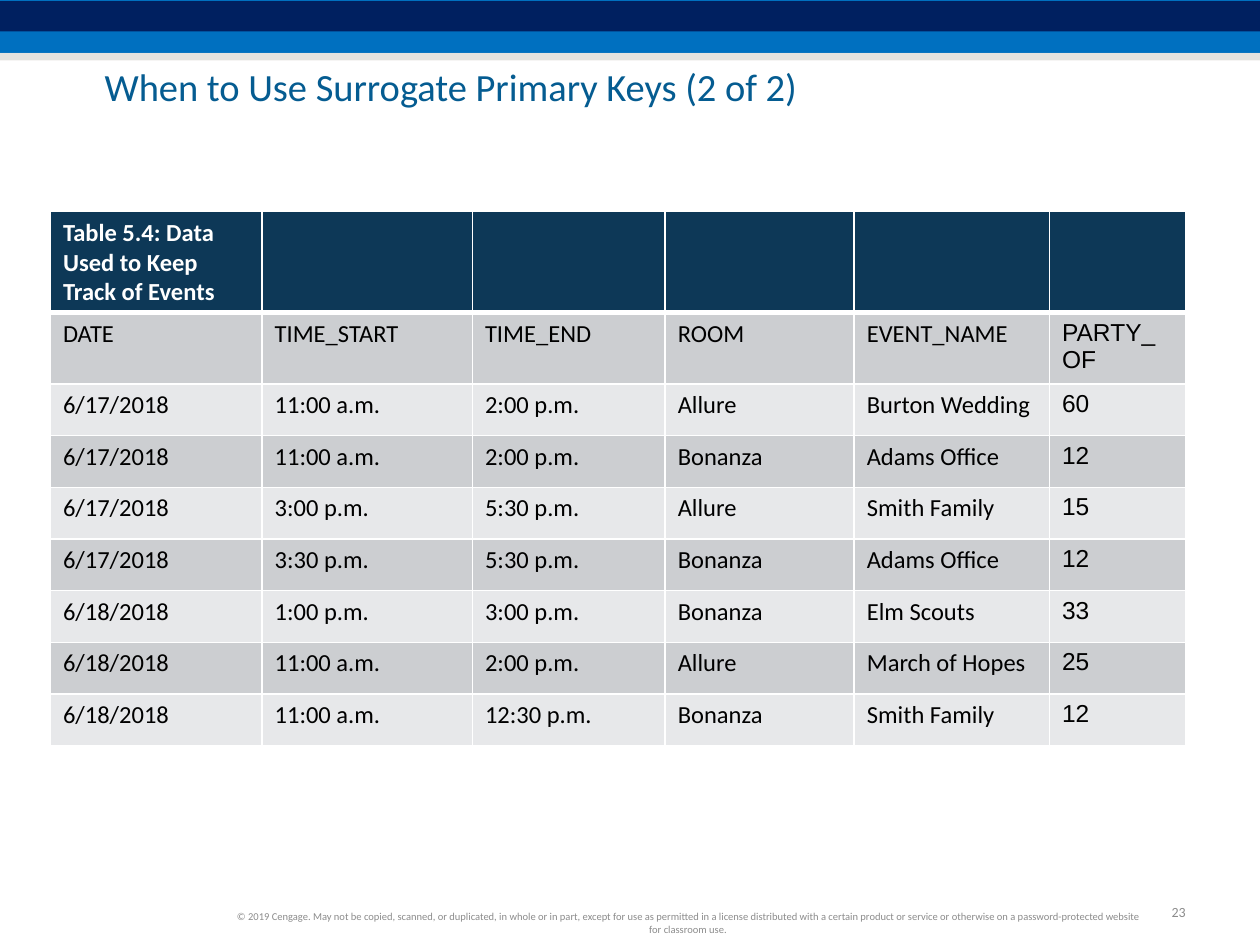
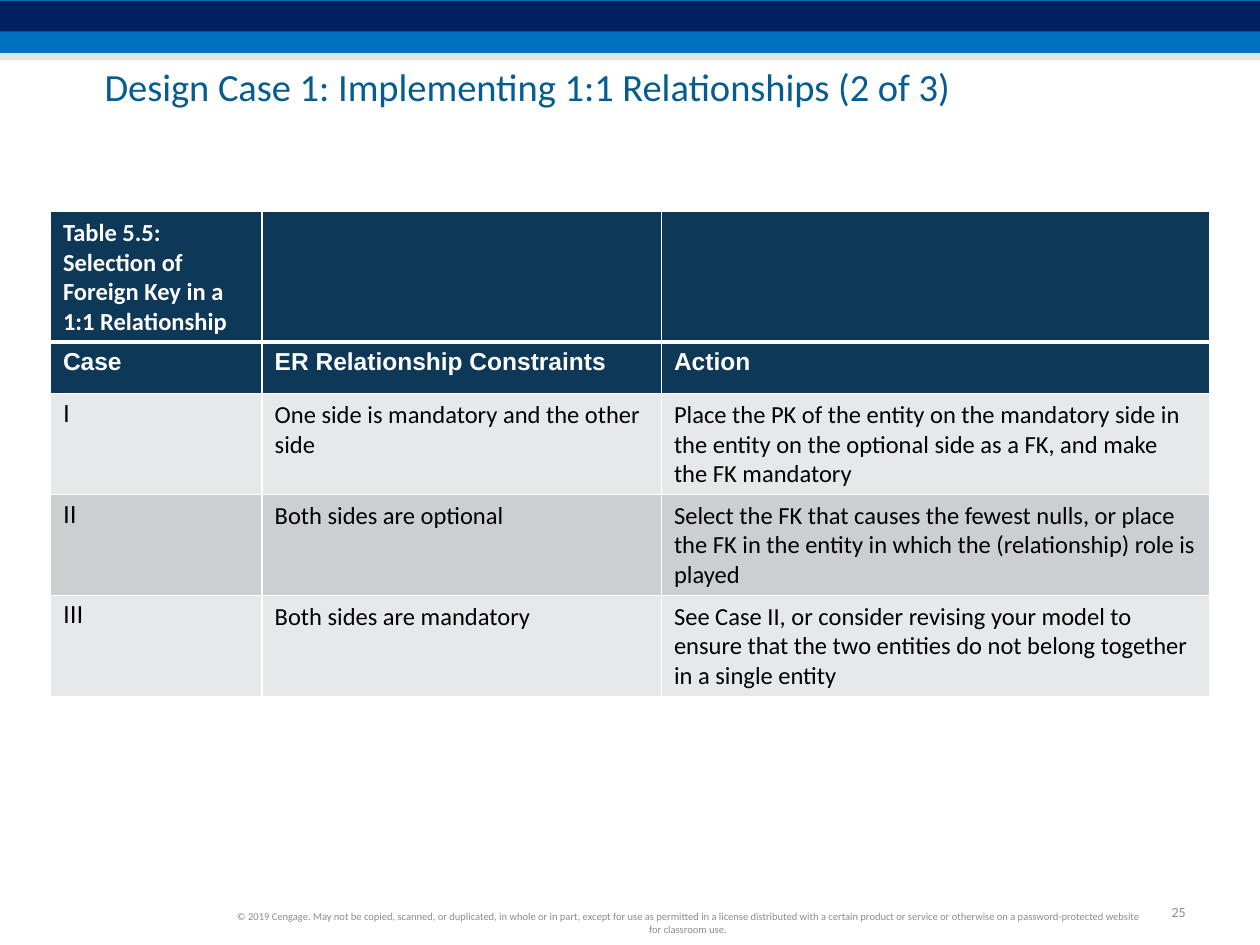
from dataclasses import dataclass

from lxml.etree import SubElement
from pptx import Presentation
from pptx.dml.color import RGBColor
from pptx.enum.shapes import MSO_SHAPE
from pptx.enum.text import MSO_ANCHOR, MSO_AUTO_SIZE, PP_ALIGN
from pptx.oxml import parse_xml
from pptx.oxml.ns import nsdecls, qn
from pptx.util import Inches, Pt


@dataclass(frozen=True)
class Theme:
    blue: str = "0070C0"
    navy: str = "002060"
    sand: str = "CCC9C1"
    title: str = "055C91"
    header: str = "0D3857"
    dark_row: str = "CCCED1"
    light_row: str = "E7E8EA"
    white: str = "FFFFFF"
    black: str = "000000"
    grey: str = "8C8C8C"
    body_font: str = "Calibri"
    alt_font: str = "Arial"
    title_size: int = 22
    table_size: int = 14
    number_size: int = 8
    legal_size: int = 6
    rule: int = 1
    header_rule: int = 3


COPYRIGHT = (
    "© 2019 Cengage. May not be copied, scanned, or duplicated, in whole or in part, "
    "except for use as permitted in a license distributed with a certain product or "
    "service or otherwise on a password-protected website for classroom use."
)

EVENTS = [
    ["Table 5.4: Data Used to Keep Track of Events", "", "", "", "", ""],
    ["DATE", "TIME_START", "TIME_END", "ROOM", "EVENT_NAME", "PARTY_OF"],
    ["6/17/2018", "11:00 a.m.", "2:00 p.m.", "Allure", "Burton Wedding", "60"],
    ["6/17/2018", "11:00 a.m.", "2:00 p.m.", "Bonanza", "Adams Office", "12"],
    ["6/17/2018", "3:00 p.m.", "5:30 p.m.", "Allure", "Smith Family", "15"],
    ["6/17/2018", "3:30 p.m.", "5:30 p.m.", "Bonanza", "Adams Office", "12"],
    ["6/18/2018", "1:00 p.m.", "3:00 p.m.", "Bonanza", "Elm Scouts", "33"],
    ["6/18/2018", "11:00 a.m.", "2:00 p.m.", "Allure", "March of Hopes", "25"],
    ["6/18/2018", "11:00 a.m.", "12:30 p.m.", "Bonanza", "Smith Family", "12"],
]

FOREIGN_KEYS = [
    ["Table 5.5: Selection of Foreign Key in a 1:1 Relationship", "", ""],
    ["Case", "ER Relationship Constraints", "Action"],
    ["I", "One side is mandatory and the other side",
     "Place the PK of the entity on the mandatory side in the entity on the optional "
     "side as a FK, and make the FK mandatory"],
    ["II", "Both sides are optional",
     "Select the FK that causes the fewest nulls, or place the FK in the entity in "
     "which the (relationship) role is played"],
    ["III", "Both sides are mandatory",
     "See Case II, or consider revising your model to ensure that the two entities "
     "do not belong together in a single entity"],
]


class Deck:
    COLS, ROWS = 100, 75

    def __init__(self, theme):
        self.t = theme
        self.prs = Presentation()
        self.prs.slide_width, self.prs.slide_height = Inches(10), Inches(7.5)
        self.s = None

    def x(self, cols):
        return round(self.prs.slide_width * cols / self.COLS)

    def y(self, rows):
        return round(self.prs.slide_height * rows / self.ROWS)

    def box(self, left, top, width, height):
        return self.x(left), self.y(top), self.x(width), self.y(height)

    def style(self, p, size, color, font=None, bold=False):
        p.font.size, p.font.bold = Pt(size), bold
        p.font.name = font or self.t.body_font
        p.font.color.rgb = RGBColor.from_string(color)

    def band(self, top, height, color, alpha=None):
        sp = self.s.shapes.add_shape(MSO_SHAPE.RECTANGLE, *self.box(0, top, self.COLS, height))
        sp.shadow.inherit = False
        sp.fill.solid()
        sp.fill.fore_color.rgb = RGBColor.from_string(color)
        sp.line.fill.background()
        if alpha:
            clr = sp.fill._xPr.find(f"{qn('a:solidFill')}/{qn('a:srgbClr')}")
            SubElement(clr, qn("a:alpha")).set("val", str(alpha * 1000))

    def text(self, place, text, size, align, wrap=True):
        tf = self.s.shapes.add_textbox(*self.box(*place)).text_frame
        tf.word_wrap = wrap
        tf.vertical_anchor = MSO_ANCHOR.MIDDLE
        p = tf.paragraphs[0]
        p.text, p.alignment = text, align
        self.style(p, size, self.t.grey)

    def title(self, text):
        sp = self.s.shapes.title
        sp.left, sp.top, sp.width, sp.height = self.box(8.3, 5.6, 87.8, 3.1)
        tf = sp.text_frame
        tf.margin_left = tf.margin_right = tf.margin_top = tf.margin_bottom = 0
        tf.vertical_anchor = MSO_ANCHOR.MIDDLE
        tf.auto_size = MSO_AUTO_SIZE.SHAPE_TO_FIT_TEXT
        p = tf.paragraphs[0]
        p.text, p.alignment, p.line_spacing = text, PP_ALIGN.LEFT, 0.85
        self.style(p, self.t.title_size, self.t.title)

    def slide(self, title, number):
        t = self.t
        self.s = self.prs.slides.add_slide(self.prs.slide_layouts[5])
        self.band(0, 4.2, t.blue)
        self.band(0.1, 2.4, t.navy)
        self.band(4.2, 0.6, t.sand, alpha=50)
        self.title(title)
        self.text((91.7, 71.2, 3.4, 2.4), str(number), t.number_size, PP_ALIGN.RIGHT, wrap=False)
        self.text((17.5, 71.9, 74.2, 2.7), COPYRIGHT, t.legal_size, PP_ALIGN.CENTER)

    def borders(self, cell, top, bottom):
        sides = {"L": self.t.rule, "R": self.t.rule, "T": top, "B": bottom}
        for i, (side, width) in enumerate(sides.items()):
            cell._tc.get_or_add_tcPr().insert(i, parse_xml(
                f'<a:ln{side} {nsdecls("a")} w="{Pt(width)}"><a:solidFill>'
                f'<a:srgbClr val="{self.t.white}"/></a:solidFill></a:ln{side}>'))

    def table(self, data, widths, header_rows, is_alt):
        t, row_height = self.t, 4.1
        place = self.box(4, 16.8, sum(widths), row_height * len(data))
        tbl = self.s.shapes.add_table(len(data), len(widths), *place).table
        tbl.first_row = tbl.horz_banding = False
        for col, width in zip(tbl.columns, widths):
            col.width = self.x(width)
        for r, values in enumerate(data):
            tbl.rows[r].height = self.y(row_height)
            header = r < header_rows
            fill = t.header if header else (t.light_row, t.dark_row)[r % 2]
            for c, value in enumerate(values):
                cell = tbl.cell(r, c)
                cell.fill.solid()
                cell.fill.fore_color.rgb = RGBColor.from_string(fill)
                self.borders(cell, t.header_rule if r == 1 else t.rule,
                             t.header_rule if r == 0 else t.rule)
                p = cell.text_frame.paragraphs[0]
                p.text = value
                self.style(p, t.table_size, t.white if header else t.black,
                           t.alt_font if is_alt(r, c) else t.body_font, header)


def main():
    deck = Deck(Theme())
    deck.slide("When to Use Surrogate Primary Keys (2 of 2)", 23)
    deck.table(EVENTS, [16.8, 16.7, 15.3, 15, 15.5, 10.8], 1,
               lambda r, c: r > 0 and c == 5)
    deck.slide("Design Case 1: Implementing 1:1 Relationships (2 of 3)", 25)
    deck.table(FOREIGN_KEYS, [16.8, 31.7, 43.5], 2,
               lambda r, c: r == 1 or r > 1 and c == 0)
    deck.prs.save("out.pptx")


if __name__ == "__main__":
    main()
